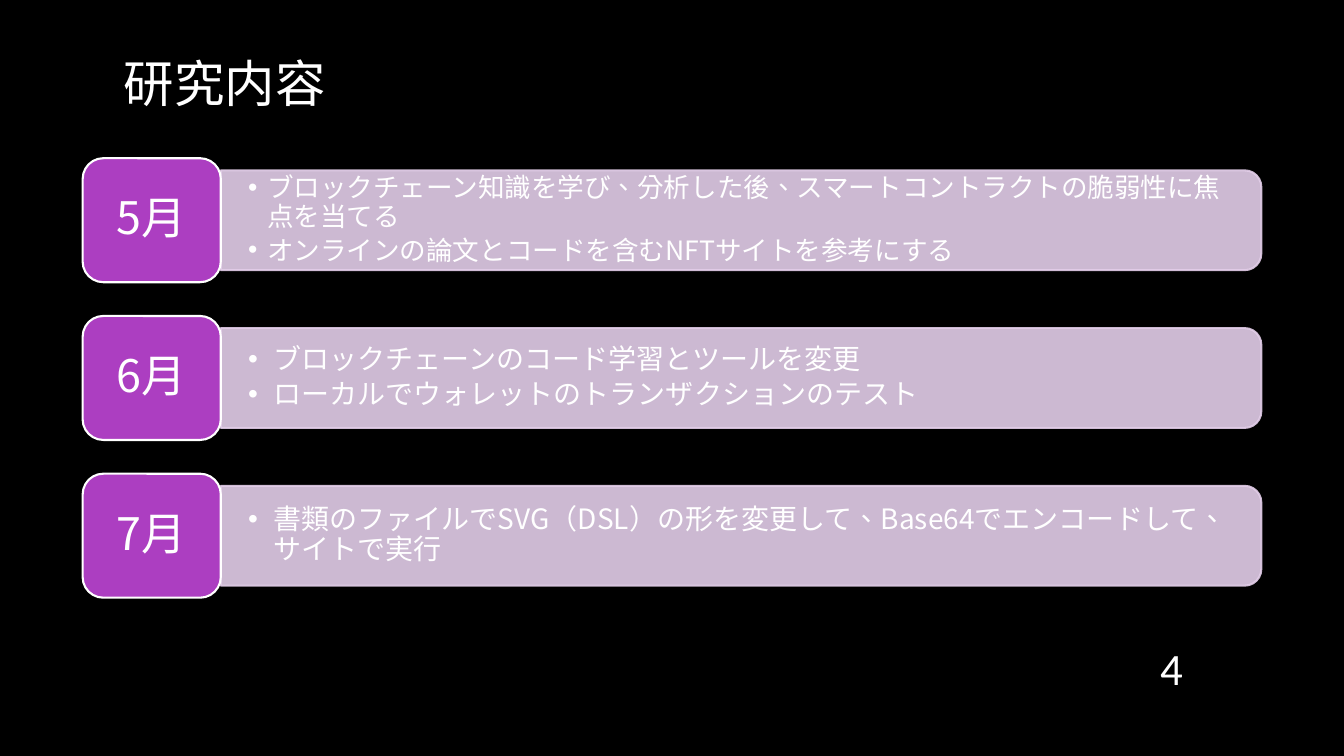
"""Build the monthly research plan slide."""
from lxml import etree
from pptx import Presentation
from pptx.dml.color import RGBColor
from pptx.enum.shapes import MSO_SHAPE
from pptx.enum.text import MSO_ANCHOR, PP_ALIGN
from pptx.oxml.ns import qn
from pptx.util import Inches, Pt

ROUND_RECT = MSO_SHAPE.ROUNDED_RECTANGLE
ROUND_TOP = MSO_SHAPE.ROUND_2_SAME_RECTANGLE
MIDDLE = MSO_ANCHOR.MIDDLE
LEFT, CENTER, RIGHT = PP_ALIGN.LEFT, PP_ALIGN.CENTER, PP_ALIGN.RIGHT

COLORS = {"background": "000000", "text": "FFFFFF", "badge": "AC3EC1", "band": "E3CEE9"}
JAPANESE = "Noto Sans CJK JP"
LANGUAGE = "zh-TW"
FIRST_TOP, LAST_TOP = 1.57, 4.7
BADGE_LEFT, BADGE_WIDTH, BADGE_HEIGHT = 0.82, 1.37, 1.23
BAND_WIDTH, BAND_HEIGHT, TEXT_HEIGHT = 10.32, 0.99, 0.89

MONTHS = [
    ("5月", 19, 0.19, [
        "ブロックチェーン知識を学び、分析した後、スマートコントラクトの脆弱性に焦点を当てる",
        "オンラインの論文とコードを含むNFTサイトを参考にする",
    ]),
    ("6月", 20, 0.25, [
        "ブロックチェーンのコード学習とツールを変更",
        "ローカルでウォレットのトランザクションのテスト",
    ]),
    ("7月", 20, 0.25, [
        "書類のファイルでSVG（DSL）の形を変更して、Base64でエンコードして、\nサイトで実行",
    ]),
]


def color(name):
    return RGBColor.from_string(COLORS[name])


def set_opacity(fill_format, percent):
    """Make a solid fill partly transparent."""
    solid = fill_format._xPr.find(qn("a:solidFill"))
    etree.SubElement(solid[0], qn("a:alpha")).set("val", str(percent * 1000))


def add_panel(slide, kind, left, top, width, height, fill, line):
    """Add a filled and outlined preset shape."""
    panel = slide.shapes.add_shape(kind, Inches(left), Inches(top), Inches(width), Inches(height))
    panel.shadow.inherit = False
    panel.fill.solid()
    panel.fill.fore_color.rgb = color(fill)
    panel.line.color.rgb = color(line)
    panel.line.width = Pt(1.5)
    return panel


def add_text_area(slide, left, top, width, height):
    """Add a wrapping, vertically centred text box and return its frame."""
    area = slide.shapes.add_textbox(Inches(left), Inches(top), Inches(width), Inches(height))
    frame = area.text_frame
    frame.word_wrap = True
    frame.vertical_anchor = MIDDLE
    return frame


def write(paragraph, text, size, align=LEFT, font=JAPANESE):
    """Write text into a paragraph, with a line break at each newline."""
    paragraph.alignment = align
    for number, line in enumerate(text.split("\n")):
        if number:
            paragraph.add_line_break()
        run = paragraph.add_run()
        run.text = line
        run.font.size = Pt(size)
        run.font.name = font
        run.font.color.rgb = color("text")
        run.font._element.set("lang", LANGUAGE)
        etree.SubElement(run.font._element, qn("a:ea")).set("typeface", font)


def add_bullet(paragraph, indent):
    """Give a paragraph a hanging bullet."""
    properties = paragraph._p.get_or_add_pPr()
    properties.set("marL", str(Inches(indent)))
    properties.set("indent", str(-Inches(indent)))
    etree.SubElement(properties, qn("a:buFont")).set("typeface", "Arial")
    etree.SubElement(properties, qn("a:buChar")).set("char", "•")


def add_band(slide, left, middle):
    """Add a pale band whose rounded end points right."""
    band = add_panel(slide, ROUND_TOP, left + (BAND_WIDTH - BAND_HEIGHT) / 2,
                     middle - BAND_WIDTH / 2, BAND_HEIGHT, BAND_WIDTH, "band", "band")
    band.rotation = 90
    set_opacity(band.fill, 90)
    set_opacity(band.line.fill, 90)


def add_tasks(slide, left, middle, tasks, size, indent):
    """Add the bulleted tasks of one month."""
    frame = add_text_area(slide, left, middle - TEXT_HEIGHT / 2, 10.28, TEXT_HEIGHT)
    frame.margin_left = frame.margin_right = Inches(0.27)
    frame.margin_top = frame.margin_bottom = 0
    for number, task in enumerate(tasks):
        paragraph = frame.add_paragraph() if number else frame.paragraphs[0]
        paragraph.line_spacing = 0.9
        paragraph.space_after = Pt(3.5)
        add_bullet(paragraph, indent)
        write(paragraph, task, size)


def add_badge(slide, top, month):
    """Add the month badge."""
    badge = add_panel(slide, ROUND_RECT, BADGE_LEFT, top, BADGE_WIDTH, BADGE_HEIGHT,
                      "badge", "text")
    frame = badge.text_frame
    frame.vertical_anchor = MIDDLE
    paragraph = frame.paragraphs[0]
    paragraph.line_spacing = 0.9
    write(paragraph, month, 32, CENTER)


def main():
    deck = Presentation()
    deck.slide_width, deck.slide_height = Inches(13.33), Inches(7.5)
    slide = deck.slides.add_slide(deck.slide_layouts[6])
    slide.background.fill.solid()
    slide.background.fill.fore_color.rgb = color("background")

    band_left = BADGE_LEFT + BADGE_WIDTH
    row_step = (LAST_TOP - FIRST_TOP) / (len(MONTHS) - 1)
    for row, (month, size, indent, tasks) in enumerate(MONTHS):
        top = FIRST_TOP + row * row_step
        middle = top + BADGE_HEIGHT / 2
        add_band(slide, band_left, middle)
        add_tasks(slide, band_left, middle, tasks, size, indent)
        add_badge(slide, top, month)

    title = add_text_area(slide, 1.13, 0.02, 11.08, 1.59)
    write(title.paragraphs[0], "研究内容", 36)
    page_number = add_text_area(slide, 11.23, 6.42, 0.6, 0.41)
    write(page_number.paragraphs[0], "4", 32, RIGHT, "Calibri")
    deck.save("out.pptx")


if __name__ == "__main__":
    main()
